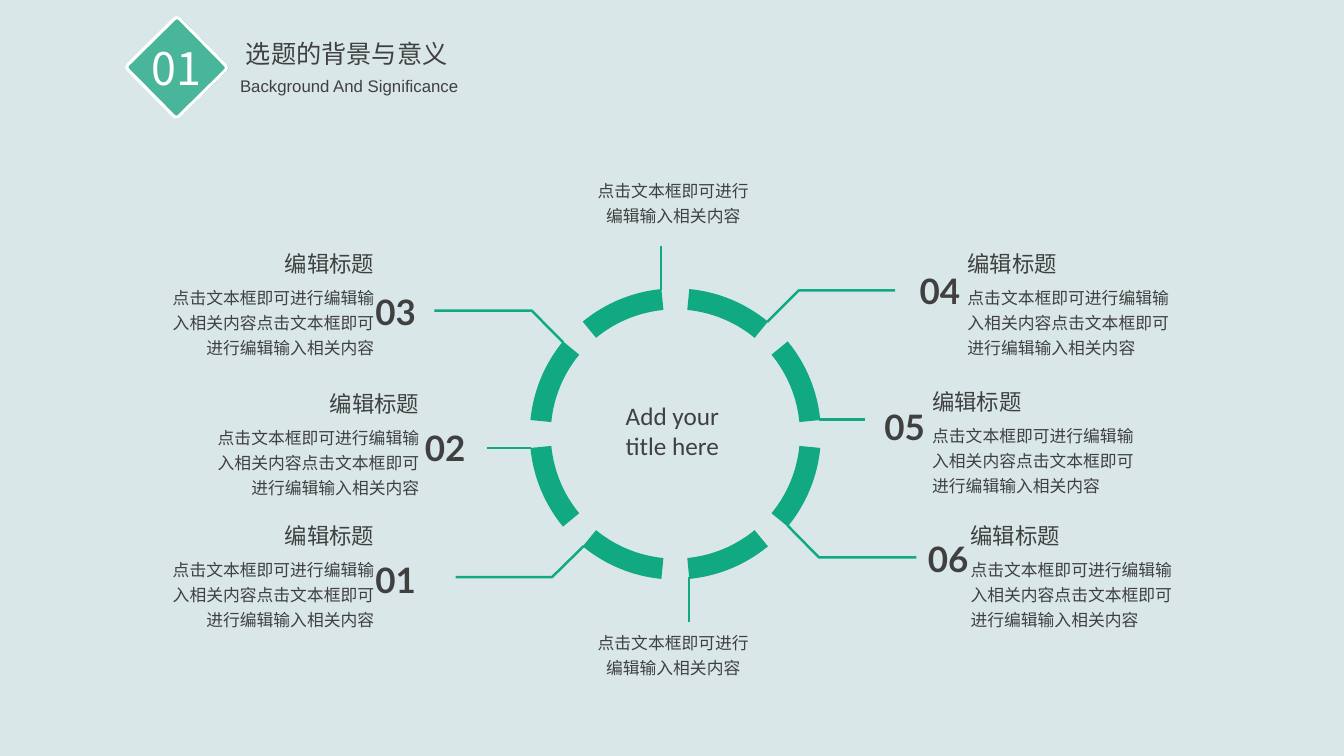
import math

from lxml import etree
from pptx import Presentation
from pptx import util as u
from pptx.dml.color import RGBColor
from pptx.enum import shapes, text
from pptx.oxml import ns

BACKGROUND = RGBColor(0xD9, 0xE7, 0xE8)
GREEN = RGBColor(0x10, 0xA9, 0x81)
LIGHT_GREEN = RGBColor(0x49, 0xB5, 0x9A)
WHITE = RGBColor(0xFF, 0xFF, 0xFF)
GRAY = RGBColor(0x40, 0x40, 0x40)

CHINESE_FONT = "Noto Sans CJK SC"
LEFT, CENTER, RIGHT = text.PP_ALIGN.LEFT, text.PP_ALIGN.CENTER, text.PP_ALIGN.RIGHT
TOP, MIDDLE = text.MSO_ANCHOR.TOP, text.MSO_ANCHOR.MIDDLE

presentation = Presentation()
presentation.slide_width = u.Pt(960)
presentation.slide_height = u.Pt(540)
slide = presentation.slides.add_slide(presentation.slide_layouts[5])
slide.background.fill.solid()
slide.background.fill.fore_color.rgb = BACKGROUND


def write(content, box, size=12, font=CHINESE_FONT, color=GRAY, bold=False,
          align=CENTER, anchor=TOP, spacing=1, shape=None):
    left, top, width, height = [u.Pt(value) for value in box]
    if shape is None:
        shape = slide.shapes.add_textbox(left, top, width, height)
    shape.left, shape.top, shape.width, shape.height = left, top, width, height
    frame = shape.text_frame
    frame.word_wrap = True
    frame.auto_size = text.MSO_AUTO_SIZE.SHAPE_TO_FIT_TEXT
    frame.vertical_anchor = anchor
    paragraph = frame.paragraphs[0]
    paragraph.alignment = align
    paragraph.line_spacing = spacing
    run = paragraph.add_run()
    run.text = content
    run.font.size = u.Pt(size)
    run.font.name = font
    run.font.bold = bold
    run.font.color.rgb = color
    east_asian = etree.SubElement(run.font._element, ns.qn("a:ea"))
    east_asian.set("typeface", font)


diamonds = [
    (100, 21.6, 53.3, 0.059, GREEN, None),
    (100.3, 22.3, 51.8, 0.05, LIGHT_GREEN, WHITE),
]
for left, top, side, corner, fill, outline in diamonds:
    diamond = slide.shapes.add_shape(
        shapes.MSO_SHAPE.ROUNDED_RECTANGLE, u.Pt(left), u.Pt(top), u.Pt(side), u.Pt(side))
    diamond.adjustments[0] = corner
    diamond.rotation = 45.4
    diamond.shadow.inherit = False
    diamond.fill.solid()
    diamond.fill.fore_color.rgb = fill
    if outline is None:
        diamond.line.fill.background()
    else:
        diamond.line.color.rgb = outline
        diamond.line.width = u.Pt(2.25)

write("选题的背景与意义", (52.6, 23.8, 390, 29), size=18, shape=slide.shapes.title)
write("Background And Significance", (52, 50.4, 395, 21.8), font="Arial")
write("01", (98.6, 25.2, 55.4, 46), size=32, color=WHITE)

center_x, center_y = 482.4, 310
outer_radius, inner_radius = 104, 89
segment_count, half_span, arc_steps = 8, 17, 16
for index in range(segment_count):
    middle = (index + 0.5) * 360 / segment_count
    angles = [math.radians(middle - half_span + 2 * half_span * step / arc_steps)
              for step in range(arc_steps + 1)]
    rim = [(outer_radius, angle) for angle in angles]
    rim += [(inner_radius, angle) for angle in reversed(angles)]
    points = [(u.Pt(center_x + radius * math.cos(angle)),
               u.Pt(center_y + radius * math.sin(angle))) for radius, angle in rim]
    builder = slide.shapes.build_freeform(*points[0])
    builder.add_line_segments(points[1:], close=True)
    segment = builder.convert_to_shape()
    segment.shadow.inherit = False
    segment.fill.solid()
    segment.fill.fore_color.rgb = GREEN
    segment.line.fill.background()

bent_leaders = [
    [(548, 230), (570.6, 207.4), (639.5, 207.4)],
    [(417, 390), (394.4, 412.2), (325.4, 412.2)],
    [(402.2, 244.5), (379.8, 221.8), (310.3, 221.8)],
    [(562.7, 375.5), (585, 398.2), (654.5, 398.2)],
]
for corners in bent_leaders:
    points = [(u.Pt(x), u.Pt(y)) for x, y in corners]
    builder = slide.shapes.build_freeform(*points[0])
    builder.add_line_segments(points[1:], close=False)
    leader = builder.convert_to_shape()
    leader.shadow.inherit = False
    leader.fill.background()
    leader.line.color.rgb = GREEN
    leader.line.width = u.Pt(1.75)

straight_leaders = [
    (585, 299.8, 617.8, 299.8),
    (379.4, 320.2, 347.8, 320.2),
    (472.3, 207.4, 472.3, 175.7),
    (492.3, 412.2, 492.3, 444),
]
for ends in straight_leaders:
    leader = slide.shapes.add_connector(
        shapes.MSO_CONNECTOR.STRAIGHT, *[u.Pt(value) for value in ends])
    leader.line.color.rgb = GREEN
    leader.line.width = u.Pt(1.75)
    etree.SubElement(leader._element.spPr, ns.qn("a:effectLst"))

write("Add your title here", (438.5, 282.2, 83.5, 46), size=18, font="Calibri")

short_text = "点击文本框即可进行编辑输入相关内容"
for top in (121.7, 445):
    write(short_text, (414.7, top, 132.5, 44), spacing=1.25)

entries = [
    ("01", 259.9, 397.4, 114.5, 369.4, RIGHT),
    ("02", 295.2, 303.1, 146.6, 275, RIGHT),
    ("03", 259.9, 205.9, 114.5, 175, RIGHT),
    ("04", 648.7, 190.8, 684, 175, LEFT),
    ("05", 623.5, 288, 658.8, 273.6, LEFT),
    ("06", 654.5, 382.3, 686.2, 369.4, LEFT),
]
for number, number_left, number_top, text_left, heading_top, align in entries:
    write(number, (number_left, number_top, 45.4, 33.1), size=25, font="Lato",
          bold=True, anchor=MIDDLE)
    write("编辑标题", (text_left, heading_top, 160, 26.6), size=16, align=align)
    write(short_text * 2, (text_left, heading_top + 23.2, 160, 80), align=align, spacing=1.25)

presentation.save("out.pptx")
